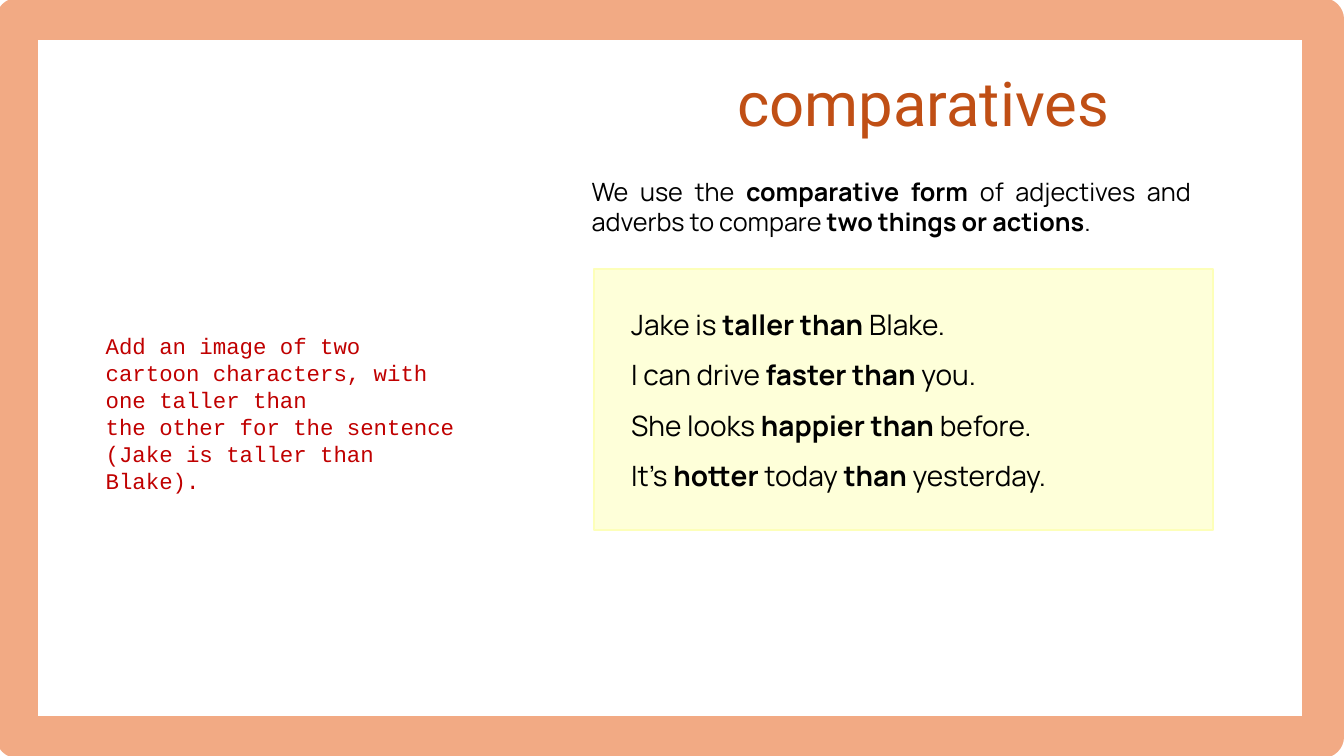
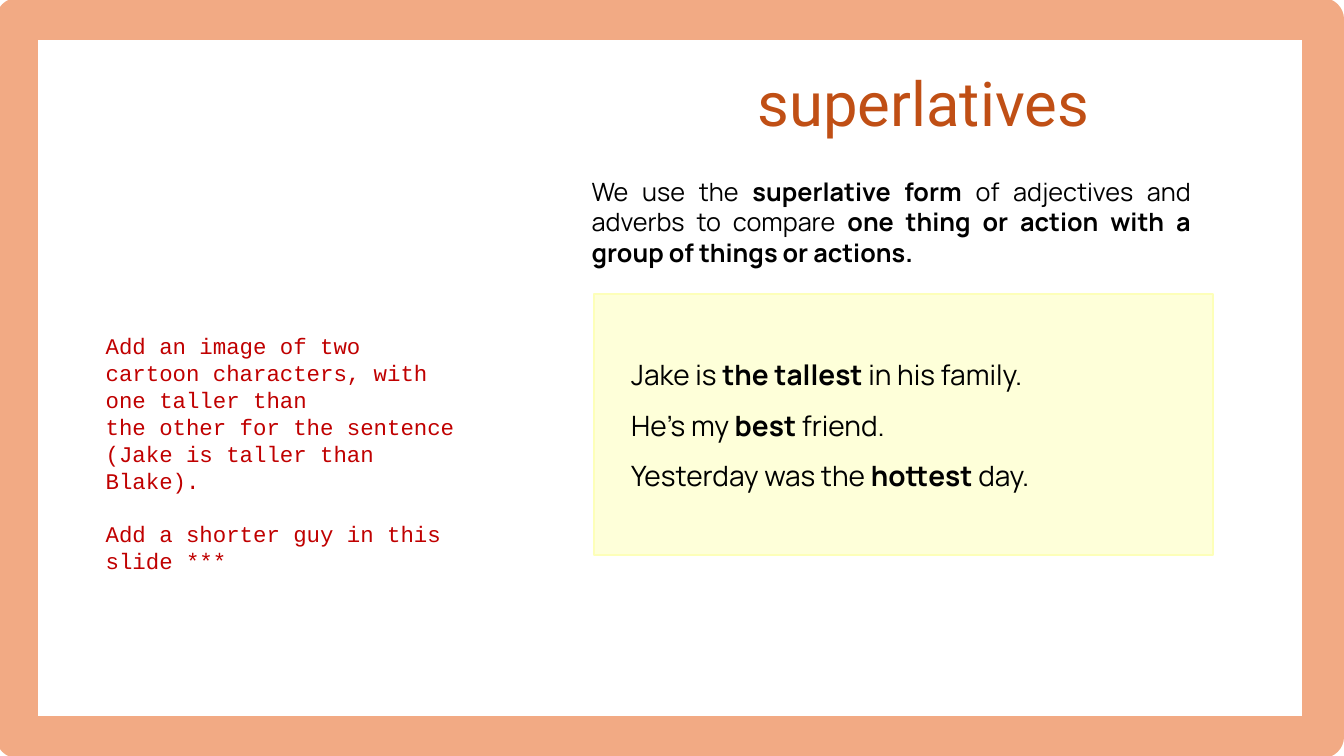
"""Build two grammar slides: comparatives and superlatives."""
from pptx import Presentation
from pptx import util as u
from pptx.dml.color import RGBColor
from pptx.enum import shapes, text

PEACH = RGBColor(0xF2, 0xAA, 0x84)
RUST = RGBColor(0xC0, 0x4F, 0x15)
CREAM = RGBColor(0xFE, 0xFF, 0xD9)
YELLOW = RGBColor(0xFD, 0xFF, 0xB9)
RED = RGBColor(0xC0, 0x00, 0x00)
BLACK = RGBColor(0x00, 0x00, 0x00)

TITLE_CENTER = 9.16
IMAGE_NOTE = ("Add an image of two cartoon characters, with one taller than\n"
              "the other for the sentence (Jake is taller than Blake).")

LESSONS = [
    {
        "title": "comparatives", "title_width": 4.5,
        "rule": "We use the |comparative form |of adjectives and adverbs to compare "
                "|two things or actions|.",
        "rule_height": 0.71,
        "examples_top": 2.67,
        "examples": ["Jake is |taller than| Blake.",
                     "I can drive |faster than| you.",
                     "She looks |happier than| before.",
                     "It’s |hotter| today |than| yesterday."],
        "notes": [IMAGE_NOTE], "notes_height": 1.45,
    },
    {
        "title": "superlatives", "title_width": 4.17,
        "rule": "We use the |superlative form |of adjectives and adverbs to compare "
                "|one thing or action with a group of things or actions.",
        "rule_height": 1.01,
        "examples_top": 2.92,
        "examples": ["Jake is |the tallest| in his family.",
                     "He’s my |best| friend.",
                     "Yesterday was the |hottest| day."],
        "notes": [IMAGE_NOTE, "Add a shorter guy in this slide ***"], "notes_height": 2.26,
    },
]


def write(frame, lines, font, size, color, align=text.PP_ALIGN.LEFT, spacing=None, gap=None):
    """Write one paragraph per line; text between bars is bold."""
    for number, line in enumerate(lines):
        paragraph = frame.add_paragraph() if number else frame.paragraphs[0]
        paragraph.alignment = align
        if number and spacing:
            paragraph.line_spacing = spacing
        if number and gap:
            paragraph.space_before = u.Pt(gap)
        for part, phrase in enumerate(line.split("|")):
            for row, words in enumerate(phrase.split("\n")):
                if row:
                    paragraph.add_line_break()
                run = paragraph.add_run()
                run.text = words
                run.font.name = font
                run.font.size = u.Pt(size)
                run.font.bold = part % 2 == 1
                run.font.color.rgb = color


def add_text(slide, left, top, width, height, wrap=True):
    """Add a text box that grows with its text and return its frame."""
    frame = slide.shapes.add_textbox(u.Inches(left), u.Inches(top),
                                     u.Inches(width), u.Inches(height)).text_frame
    frame.word_wrap = wrap
    frame.auto_size = text.MSO_AUTO_SIZE.SHAPE_TO_FIT_TEXT
    return frame


deck = Presentation()
deck.slide_width = u.Inches(13.33)
deck.slide_height = u.Inches(7.5)

for lesson in LESSONS:
    slide = deck.slides.add_slide(deck.slide_layouts[6])

    border = slide.shapes.add_shape(shapes.MSO_SHAPE.RECTANGLE, u.Inches(0.17), u.Inches(0.19),
                                    u.Inches(12.95), u.Inches(7.12))
    border.shadow.inherit = False
    border.fill.background()
    border.line.color.rgb = PEACH
    border.line.width = u.Pt(30)

    width = lesson["title_width"]
    title = add_text(slide, TITLE_CENTER - width / 2, 0.59, width, 0.84, wrap=False)
    write(title, [lesson["title"]], "Roboto", 44, RUST, text.PP_ALIGN.CENTER)

    rule = add_text(slide, 5.77, 1.7, 6.14, lesson["rule_height"])
    write(rule, [lesson["rule"]], "Manrope", 18, BLACK, text.PP_ALIGN.JUSTIFY)

    examples = slide.shapes.add_shape(shapes.MSO_SHAPE.RECTANGLE, u.Inches(5.89),
                                      u.Inches(lesson["examples_top"]),
                                      u.Inches(6.14), u.Inches(2.59))
    examples.shadow.inherit = False
    examples.fill.solid()
    examples.fill.fore_color.rgb = CREAM
    examples.line.color.rgb = YELLOW
    examples.line.width = u.Pt(1.5)
    examples.text_frame.margin_left = u.Inches(0.37)
    examples.text_frame.word_wrap = True
    examples.text_frame.vertical_anchor = text.MSO_ANCHOR.MIDDLE
    write(examples.text_frame, lesson["examples"], "Manrope", 20, BLACK, spacing=1.5)

    notes = add_text(slide, 0.95, 3.25, 3.7, lesson["notes_height"])
    write(notes, lesson["notes"], "Courier New", 16, RED, gap=19)

deck.save("out.pptx")
